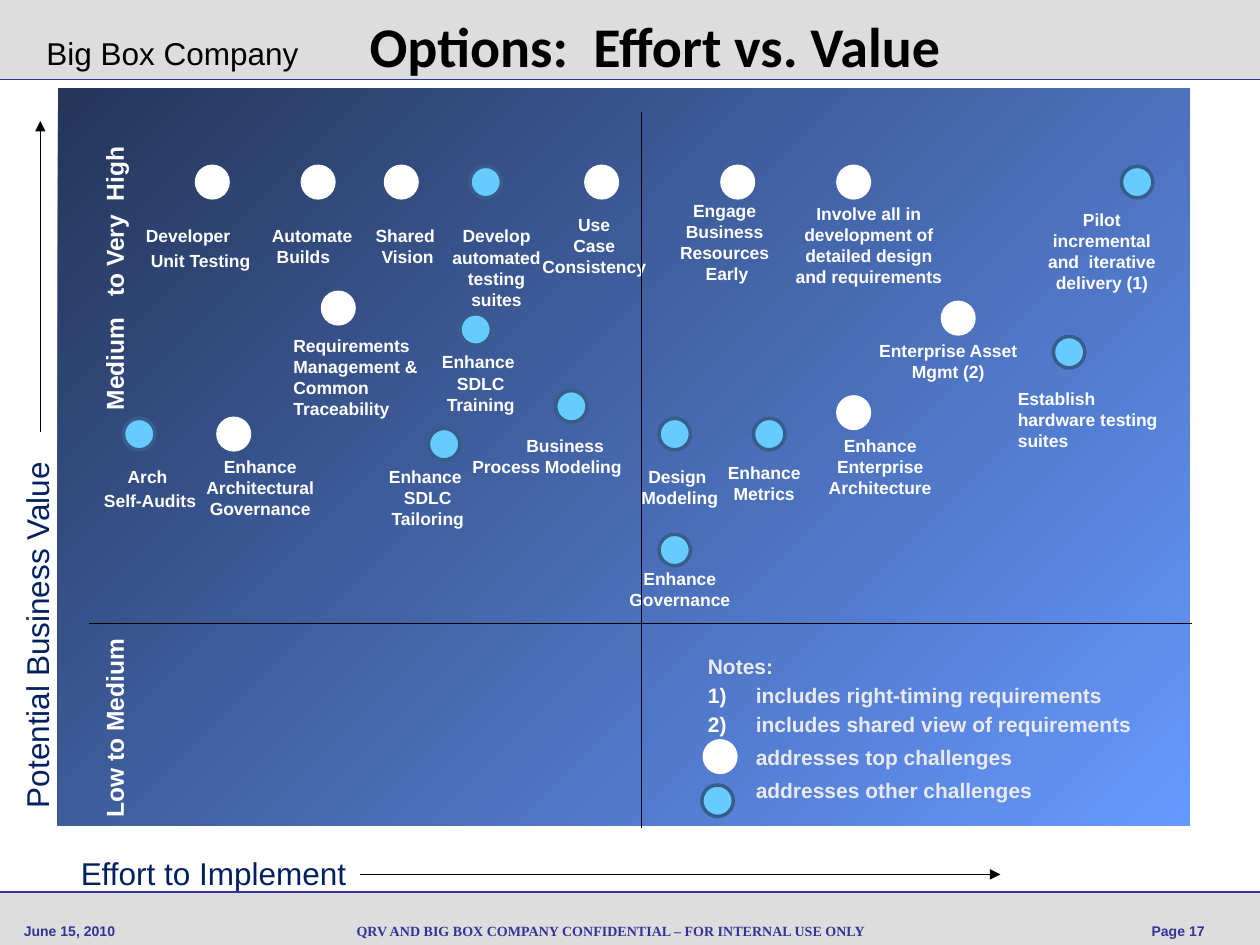
"""Build the effort versus value options slide."""
from lxml.etree import SubElement
from pptx import Presentation
from pptx.dml.color import RGBColor
from pptx.enum.shapes import MSO_CONNECTOR, MSO_SHAPE
from pptx.enum.text import MSO_ANCHOR, PP_ALIGN
from pptx.oxml.ns import qn
from pptx.util import Inches, Pt


class Theme:
    band, rule, ink, navy = "DDDDDD", "333399", "000000", "002060"
    dark, light, rim, sky = "243559", "6699FF", "385D8A", "66CCFF"
    white, pale = "FFFFFF", "EAEAEA"
    tiny, small, note, side, axis, head = 8, 10, 12, 14, 18, 32
    sans, serif, title = "Arial", "Times New Roman", "Calibri"


deck = Presentation()
deck.slide_width, deck.slide_height = Inches(10), Inches(7.5)
slide = deck.slides.add_slide(deck.slide_layouts[5])
shapes = slide.shapes
col, row = deck.slide_width / 100, deck.slide_height / 75
left, mid, right = PP_ALIGN.LEFT, PP_ALIGN.CENTER, PP_ALIGN.RIGHT


def grid(x, y, w, h):
    return int(x * col), int(y * row), int(w * col), int(h * row)


def write(text, at, size=Theme.small, color=Theme.white, font=Theme.sans, bold=True,
          align=mid, after=0, turn=0, count=False, last=None, box=None):
    box = box or shapes.add_textbox(*grid(*at))
    box.left, box.top, box.width, box.height = grid(*at)
    box.rotation = turn
    frame = box.text_frame
    frame.word_wrap, frame.vertical_anchor = True, MSO_ANCHOR.TOP
    frame.text = text
    for n, para in enumerate(frame.paragraphs):
        if count:
            props = para._p.get_or_add_pPr()
            props.set("marL", str(int(3.8 * col)))
            props.set("indent", str(int(-3.8 * col)))
            if n:
                tint = SubElement(props, qn("a:buClr"))
                SubElement(tint, qn("a:srgbClr"), val=Theme.white)
                SubElement(props, qn("a:buAutoNum"), type="arabicParenR")
        para.alignment, para.space_after = align, Pt(after)
        para.font.size, para.font.bold, para.font.name = Pt(size), bold, font
        para.font.color.rgb = RGBColor.from_string(color)
    if last is not None:
        frame.paragraphs[-1].alignment = last
    return box


for y, h in ((0, 6.3), (70.8, 4.2)):
    band = shapes.add_shape(MSO_SHAPE.RECTANGLE, *grid(0, y, 100, h))
    band.shadow.inherit = False
    band.fill.solid()
    band.fill.fore_color.rgb = RGBColor.from_string(Theme.band)
    band.line.fill.background()

panel = shapes.add_shape(MSO_SHAPE.RECTANGLE, *grid(4.6, 7, 89.8, 58.5))
panel.shadow.inherit = False
panel.line.fill.background()
panel.fill.gradient()
panel.fill.gradient_angle = 315
for stop, tone, place in zip(panel.fill.gradient_stops, (Theme.dark, Theme.light), (0, 1)):
    stop.color.rgb, stop.position = RGBColor.from_string(tone), place

head = shapes.title
head.element.getparent().append(head.element)
write("Options:  Effort vs. Value", (5.7, 0, 92.6, 5.8), Theme.head, Theme.ink,
      Theme.title, box=head)
head.text_frame.margin_top = int(0.9 * row)

write("Big Box Company", (2.7, 2.2, 22.1, 4), Theme.axis, Theme.ink, bold=False, align=left)
foot = dict(size=Theme.tiny, color=Theme.rule)
write("June 15, 2010", (0.9, 72.7, 14.1, 2.3), align=left, **foot)
write("QRV AND BIG BOX COMPANY CONFIDENTIAL – FOR INTERNAL USE ONLY",
      (26.4, 72.7, 44.2, 2.3), font=Theme.serif, **foot)
write("Page 17", (77.8, 72.7, 18.8, 2.3), align=right, **foot)

axis = dict(size=Theme.axis, color=Theme.navy, bold=False)
write("Effort to Implement", (5.1, 67.3, 23.7, 4), **axis)
write("Potential Business Value", (-14.3, 48.4, 34.4, 4), turn=270, **axis)
write("Low to Medium", (-1.7, 56.1, 21.6, 3.4), Theme.side, turn=270)
write("Medium   to Very  High", (-3.4, 20.4, 25, 3.4), Theme.side, turn=270)

top = [
    (15.6, 13.2, 10.6, 17.4, 19.2, 2, "Developer\n Unit Testing", dict(align=left, after=1.9)),
    (24, 13.2, 20.6, 17.4, 16.7, 2, "Automate\n Builds", dict(align=left)),
    (30.6, 13.2, 24, 17.4, 16.7, 2, "Shared \nVision", {}),
    (46.5, 13.2, 39, 16.5, 16.7, 3, "Use \nCase \nConsistency ", {}),
    (57.3, 13.2, 52.9, 15.4, 9.6, 4, "Engage \nBusiness \nResources \nEarly", {}),
    (66.5, 13.2, 61.6, 15.6, 14.7, 4,
     "Involve all in development of detailed design and requirements", {}),
    (25.6, 23.2, 22.3, 26.1, 16.7, 5,
     "Requirements Management & Common\nTraceability", dict(align=left)),
    (74.8, 24, 66.5, 26.5, 17.5, 2, "Enterprise Asset\nMgmt (2)", {}),
    (17.3, 33.2, 12.3, 35.7, 16.7, 3, "Enhance\nArchitectural Governance", {}),
    (66.5, 31.5, 61.5, 34, 16.7, 3, "Enhance\nEnterprise Architecture", {}),
    (55.9, 58.8, 59, 58.6, 37.4, 1, "addresses top challenges",
     dict(size=Theme.note, color=Theme.pale, align=left)),
]
other = [
    (37.3, 13.2, 34, 17.4, 10.8, 4, "Develop automated testing suites", dict(after=1.9)),
    (89, 13.2, 81.3, 16.1, 12.3, 4,
     "Pilot incremental and  iterative delivery (1)", dict(after=1.9)),
    (36.5, 24.9, 29.8, 27.4, 16.7, 3, "Enhance \nSDLC\nTraining", {}),
    (83.6, 26.7, 79.8, 30.3, 13.3, 3, "Establish hardware testing suites",
     dict(align=left, after=1.9)),
    (44.1, 31, 36.5, 34, 16.7, 2, "Business\nProcess Modeling", dict(last=left)),
    (9.8, 33.2, 6.5, 36.5, 10.8, 2, "Arch \nSelf-Audits", dict(after=1.9)),
    (34, 34, 25.6, 36.5, 16.7, 3, "Enhance \nSDLC\nTailoring", {}),
    (52.3, 33.2, 45.6, 36.5, 16.7, 2, "Design \nModeling", {}),
    (59.8, 33.2, 52.3, 36.2, 16.7, 2, "Enhance\nMetrics", {}),
    (52.3, 42.4, 45.6, 44.6, 16.7, 2, "Enhance\nGovernance", {}),
    (55.7, 62.3, 59, 61.2, 37.4, 1, "addresses other challenges",
     dict(size=Theme.note, color=Theme.pale, align=left)),
]
for group, fill, edge in ((top, Theme.white, Theme.white), (other, Theme.sky, Theme.rim)):
    for x, y, tx, ty, w, lines, text, style in group:
        dot = shapes.add_shape(MSO_SHAPE.OVAL, *grid(x, y, 2.5, 2.5))
        dot.shadow.inherit = False
        dot.fill.solid()
        dot.fill.fore_color.rgb = RGBColor.from_string(fill)
        dot.line.color.rgb, dot.line.width = RGBColor.from_string(edge), Pt(2)
        write(text, (tx, ty, w, 1 + 1.67 * lines), **style)

write("Notes:\nincludes right-timing requirements\nincludes shared view of requirements",
      (55.2, 51.4, 37.4, 7.6), Theme.note, Theme.pale, align=left, after=2.2, count=True)

for x1, y1, x2, y2, color, width, arrow in (
        (100, 6.3, 0, 6.3, Theme.rule, 1, False),
        (100, 70.8, 0, 70.8, Theme.rule, 1, False),
        (50.9, 8.9, 50.9, 65.7, Theme.ink, 0.75, False),
        (7.1, 49.5, 94.6, 49.5, Theme.ink, 0.75, False),
        (28.6, 69.4, 79.4, 69.4, Theme.ink, 0.75, True),
        (3.2, 34.3, 3.2, 9.6, Theme.ink, 0.75, True)):
    line = shapes.add_connector(MSO_CONNECTOR.STRAIGHT, *grid(x1, y1, x2, y2))
    line.line.color.rgb, line.line.width = RGBColor.from_string(color), Pt(width)
    if arrow:
        SubElement(line.line._get_or_add_ln(), qn("a:tailEnd"), type="triangle")
    SubElement(line.element.spPr, qn("a:effectLst"))

deck.save("out.pptx")
